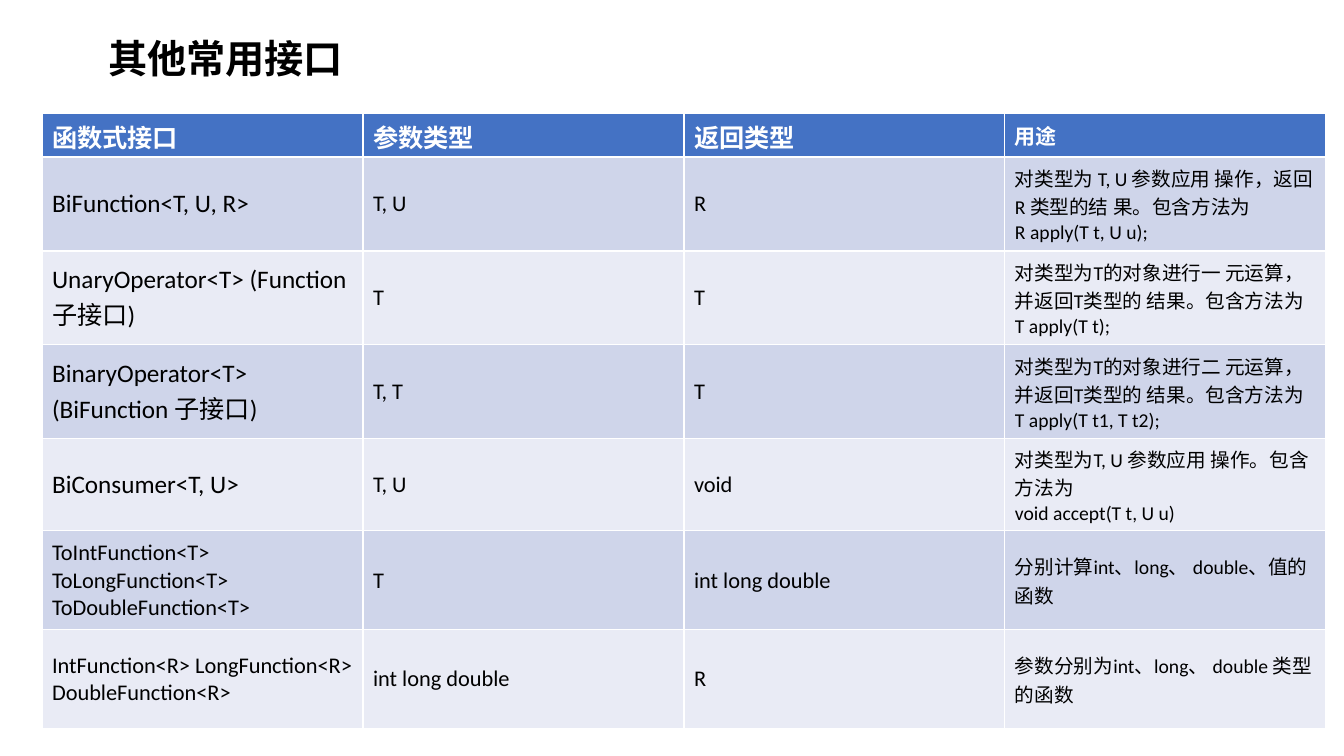
from copy import deepcopy
from dataclasses import dataclass

from pptx import Presentation
from pptx.dml.color import RGBColor
from pptx.enum.text import MSO_ANCHOR, MSO_AUTO_SIZE, PP_ALIGN
from pptx.oxml import parse_xml
from pptx.oxml.ns import nsdecls, qn
from pptx.util import Emu, Pt

WIDE, HIGH = 1344, 756
SCALE = 12192000 / WIDE
LATIN, HAN = "Calibri", "Noto Sans CJK SC"
HEAD, BANDS = "4472C4", ("CFD5EA", "E9EBF5")
COLUMN = 321


@dataclass
class Row:
    height: int
    texts: tuple[str, str, str, str]
    sizes: tuple[int, int, int, int]


ROWS = [
    Row(44, ("函数式接口", "参数类型", "返回类型", "用途"), (18, 18, 18, 15)),
    Row(94, ("BiFunction<T, U, R>", "T, U", "R",
             "对类型为 T, U 参数应用 操作，返回 R 类型的结 果。包含方法为\vR apply(T t, U u);"),
        (18, 16, 16, 14)),
    Row(94, ("UnaryOperator<T> (Function子接口)", "T", "T",
             "对类型为T的对象进行一 元运算，并返回T类型的 结果。包含方法为\vT apply(T t);"),
        (18, 16, 16, 14)),
    Row(94, ("BinaryOperator<T>\n(BiFunction 子接口)", "T, T", "T",
             "对类型为T的对象进行二 元运算，并返回T类型的 结果。包含方法为\vT apply(T t1, T t2);"),
        (18, 16, 16, 14)),
    Row(92, ("BiConsumer<T, U>", "T, U", "void",
             "对类型为T, U 参数应用 操作。包含方法为\vvoid accept(T t, U u)"),
        (18, 16, 16, 14)),
    Row(99, ("ToIntFunction<T>\nToLongFunction<T> ToDoubleFunction<T>", "T",
             "int long double", "分别计算int、long、 double、值的函数"),
        (16, 16, 16, 14)),
    Row(99, ("IntFunction<R> LongFunction<R> DoubleFunction<R>", "int long double",
             "R", "参数分别为int、long、 double 类型的函数"),
        (16, 16, 16, 14)),
]


def px(count: int) -> Emu:
    return Emu(round(count * SCALE))


def color(code: str) -> RGBColor:
    return RGBColor.from_string(code)


def write(frame, text: str, *, size: int, ink: str = "000000",
          bold: bool = False, face: str = LATIN, spacing: float = 1.0) -> None:
    frame.text = text
    for para in frame.paragraphs:
        para.alignment = PP_ALIGN.LEFT
        para.line_spacing = spacing
        for run in para.runs:
            font = run.font
            font.size, font.bold, font.name = Pt(size), bold, face
            font.color.rgb = color(ink)
            font._element.find(qn("a:latin")).addnext(
                parse_xml(f'<a:ea {nsdecls("a")} typeface="{HAN}"/>'))
        for gap in para._p.findall(qn("a:br")):
            gap.append(deepcopy(para.runs[0].font._element))


def add_title(slide, text: str) -> None:
    title = slide.shapes.title
    title.left, title.top, title.width, title.height = map(px, (98, 35, 267, 105))
    frame = title.text_frame
    write(frame, text, size=28, bold=True, face=HAN, spacing=0.9)
    frame.word_wrap = False
    frame.auto_size = MSO_AUTO_SIZE.SHAPE_TO_FIT_TEXT
    frame.vertical_anchor = MSO_ANCHOR.TOP


def add_grid(slide, rows: list[Row]) -> None:
    count = len(rows[0].texts)
    tall = sum(row.height for row in rows)
    table = slide.shapes.add_table(
        len(rows), count, px(42), px(113), px(COLUMN * count), px(tall)).table
    for column in table.columns:
        column.width = px(COLUMN)
    for index, row in enumerate(rows):
        table.rows[index].height = px(row.height)
        top = index == 0
        fill = HEAD if top else BANDS[(index - 1) % 2]
        for cell, text, size in zip(table.rows[index].cells, row.texts, row.sizes):
            cell.fill.solid()
            cell.fill.fore_color.rgb = color(fill)
            cell.vertical_anchor = MSO_ANCHOR.MIDDLE
            write(cell.text_frame, text, size=size, bold=top,
                  ink="FFFFFF" if top else "000000")


def main() -> None:
    deck = Presentation()
    deck.slide_width, deck.slide_height = px(WIDE), px(HIGH)
    slide = deck.slides.add_slide(deck.slide_layouts[5])
    add_title(slide, "其他常用接口")
    add_grid(slide, ROWS)
    deck.save("out.pptx")


if __name__ == "__main__":
    main()
